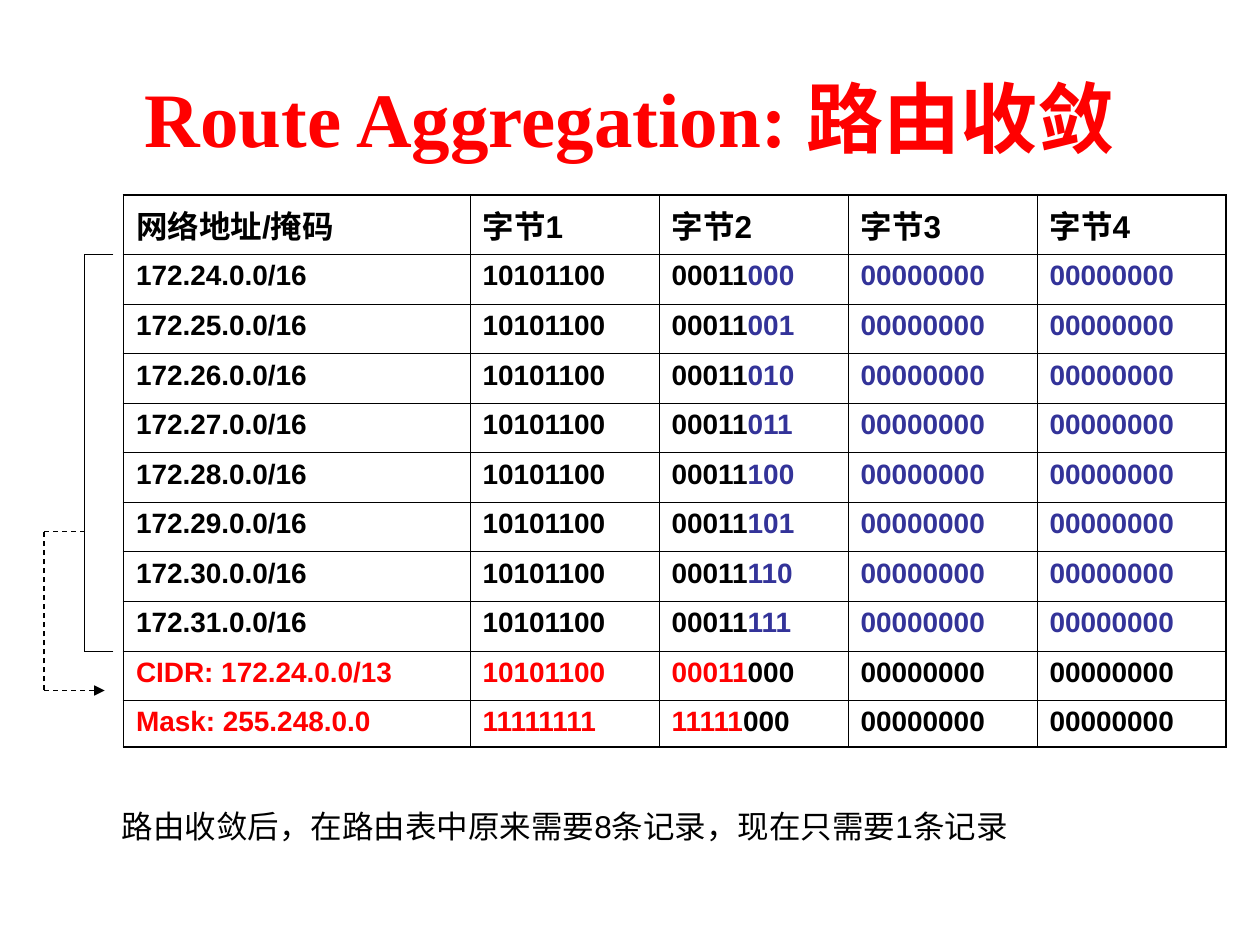
from dataclasses import dataclass
from typing import NamedTuple

from lxml.etree import SubElement
from pptx import Presentation
from pptx.dml.color import RGBColor
from pptx.enum.dml import MSO_LINE
from pptx.enum.shapes import MSO_CONNECTOR
from pptx.enum.text import MSO_ANCHOR, MSO_AUTO_SIZE, PP_ALIGN
from pptx.oxml.ns import qn
from pptx.util import Inches, Pt


@dataclass(frozen=True)
class Theme:
    """Colours, fonts and sizes of the slide."""
    red: str = "FF0000"
    black: str = "000000"
    blue: str = "333399"
    sans: str = "Arial"
    serif: str = "Times New Roman"
    title: int = 44
    large: int = 18
    small: int = 16
    thin: float = 0.45
    thick: float = 1.08
    rule: float = 0.75


class Route(NamedTuple):
    """A table row: its label, its bytes and the colours of prefix and rest."""
    label: str
    octets: tuple[int, ...]
    head: str
    tail: str


class Line(NamedTuple):
    """A straight line from one point to another."""
    start: tuple[float, float]
    end: tuple[float, float]
    dashed: bool = False
    arrow: bool = False


THEME = Theme()
PREFIX = 13
LEFT, TOP, HEIGHT = 0.98, 1.55, 4.38
WIDTHS = [2.75] + [1.5] * 4
FIRST, LAST = 0.47, 0.37
HEADS = ["网络地址/掩码"] + [f"字节{n}" for n in range(1, 5)]
ROUTES = [
    Route(f"172.{n}.0.0/16", (172, n, 0, 0), THEME.black, THEME.blue)
    for n in range(24, 32)
] + [
    Route("CIDR: 172.24.0.0/13", (172, 24, 0, 0), THEME.red, THEME.black),
    Route("Mask: 255.248.0.0", (255, 248, 0, 0), THEME.red, THEME.black),
]
EDGE, SPINE, OUTER = 0.9, 0.67, 0.35
UPPER, LOWER, MIDDLE, TARGET = 2.02, 5.17, 4.22, 5.48
LINES = [
    Line((EDGE, UPPER), (SPINE, UPPER)),
    Line((EDGE, LOWER), (SPINE, LOWER)),
    Line((SPINE, UPPER), (SPINE, LOWER)),
    Line((OUTER, TARGET), (0.83, TARGET), dashed=True, arrow=True),
    Line((OUTER, TARGET), (OUTER, MIDDLE), dashed=True),
    Line((OUTER, MIDDLE), (SPINE, MIDDLE), dashed=True),
]


def write(para, text: str, *, size: int = THEME.small, font: str = THEME.sans,
          color: str = THEME.black, bold: bool = True) -> None:
    """Add one formatted run to a paragraph."""
    run = para.add_run()
    run.text = text
    run.font.size = Pt(size)
    run.font.name = font
    run.font.bold = bold
    run.font.color.rgb = RGBColor.from_string(color)


def border(cell, sides: dict[str, float]) -> None:
    """Rule the sides of a cell and clear its fill."""
    props = cell._tc.get_or_add_tcPr()
    for side, width in sides.items():
        line = SubElement(props, qn(f"a:ln{side}"), w=str(Pt(width)))
        fill = SubElement(line, qn("a:solidFill"))
        SubElement(fill, qn("a:srgbClr"), val=THEME.black)
    cell.fill.background()


def draw_route(cells: list, route: Route) -> None:
    """Write a label and its bytes, coloured on each side of the prefix end."""
    write(cells[0].text_frame.paragraphs[0], route.label, color=route.head)
    for pos, octet in enumerate(route.octets):
        bits = f"{octet:08b}"
        cut = min(max(PREFIX - 8 * pos, 0), 8)
        para = cells[pos + 1].text_frame.paragraphs[0]
        for part, color in ((bits[:cut], route.head), (bits[cut:], route.tail)):
            if part:
                write(para, part, color=color)


def draw_table(slide) -> None:
    """Draw the table of routes."""
    rows, cols = len(ROUTES) + 1, len(WIDTHS)
    frame = slide.shapes.add_table(rows, cols, Inches(LEFT), Inches(TOP),
                                   Inches(sum(WIDTHS)), Inches(HEIGHT))
    table = frame.table
    table.first_row = table.horz_banding = False
    for col, width in zip(table.columns, WIDTHS):
        col.width = Inches(width)
    inner = (HEIGHT - FIRST - LAST) / (rows - 2)
    for row, height in zip(table.rows, [FIRST] + [inner] * (rows - 2) + [LAST]):
        row.height = Inches(height)
    for y, row in enumerate(table.rows):
        for x, cell in enumerate(row.cells):
            outer = {"L": x == 0, "R": x == cols - 1,
                     "T": y == 0, "B": y == rows - 1}
            border(cell, {side: THEME.thick if edge else THEME.thin
                          for side, edge in outer.items()})
    for cell, head in zip(table.rows[0].cells, HEADS):
        write(cell.text_frame.paragraphs[0], head, size=THEME.large)
    for y, route in enumerate(ROUTES, 1):
        draw_route(list(table.rows[y].cells), route)


def draw_line(slide, line: Line) -> None:
    """Draw a straight line, dashed or with an arrowhead if asked."""
    shape = slide.shapes.add_connector(
        MSO_CONNECTOR.STRAIGHT, *map(Inches, line.start + line.end))
    shape.line.width = Pt(THEME.rule)
    shape.line.color.rgb = RGBColor.from_string(THEME.black)
    if line.dashed:
        shape.line.dash_style = MSO_LINE.DASH
    if line.arrow:
        SubElement(shape.line._get_or_add_ln(), qn("a:tailEnd"), type="triangle")
    SubElement(shape._element.spPr, qn("a:effectLst"))


def draw_title(slide) -> None:
    """Place and fill the title."""
    title = slide.shapes.title
    title.left, title.top = Inches(0.5), Inches(0.3)
    title.width, title.height = Inches(9), Inches(1.25)
    title.text_frame.vertical_anchor = MSO_ANCHOR.MIDDLE
    para = title.text_frame.paragraphs[0]
    para.alignment = PP_ALIGN.CENTER
    write(para, "Route Aggregation: 路由收敛", size=THEME.title,
          font=THEME.serif, color=THEME.red)


def draw_note(slide) -> None:
    """Add the closing remark under the table."""
    box = slide.shapes.add_textbox(Inches(0.87), Inches(6.36),
                                   Inches(7.46), Inches(0.4))
    box.text_frame.word_wrap = False
    box.text_frame.auto_size = MSO_AUTO_SIZE.SHAPE_TO_FIT_TEXT
    write(box.text_frame.paragraphs[0],
          "路由收敛后，在路由表中原来需要8条记录，现在只需要1条记录",
          size=THEME.large, bold=False)


def main() -> None:
    """Build and save the slide."""
    deck = Presentation()
    deck.slide_width, deck.slide_height = Inches(10), Inches(7.5)
    slide = deck.slides.add_slide(deck.slide_layouts.get_by_name("Title Only"))
    draw_title(slide)
    draw_table(slide)
    for line in LINES:
        draw_line(slide, line)
    draw_note(slide)
    deck.save("out.pptx")


if __name__ == "__main__":
    main()
